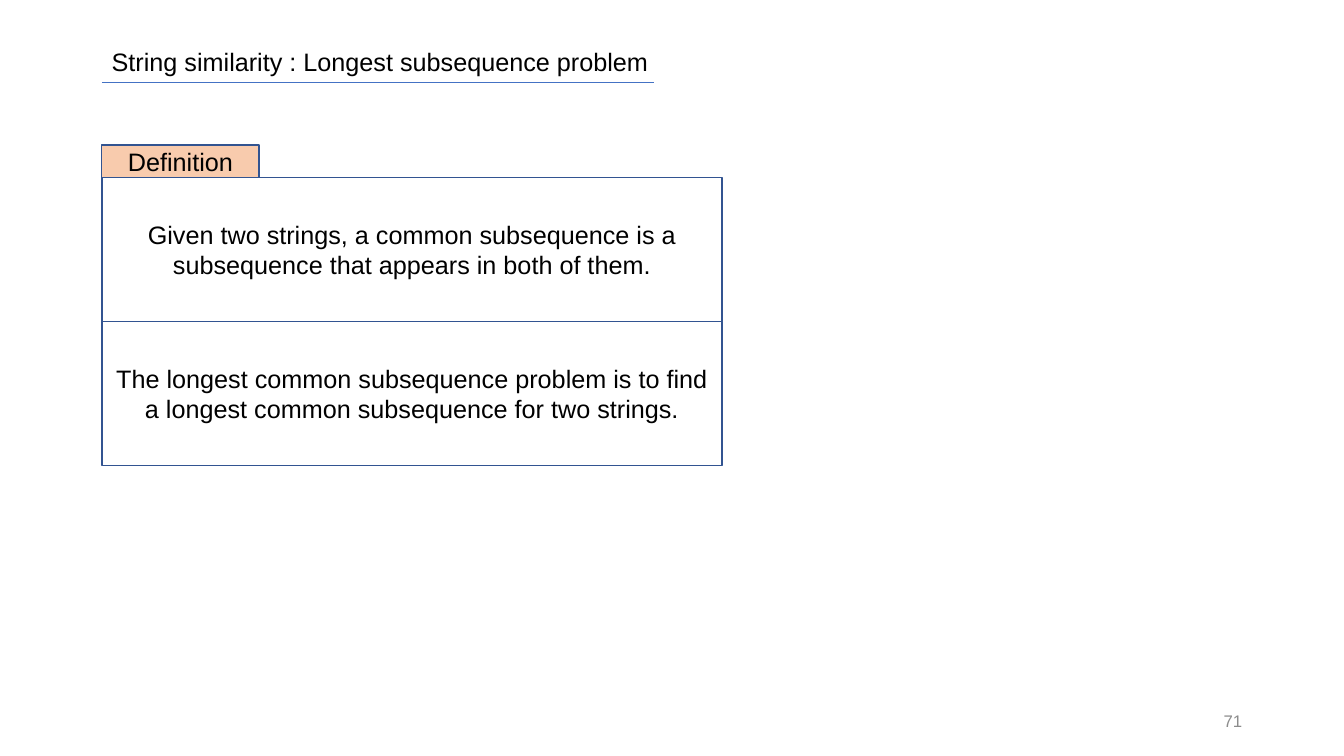
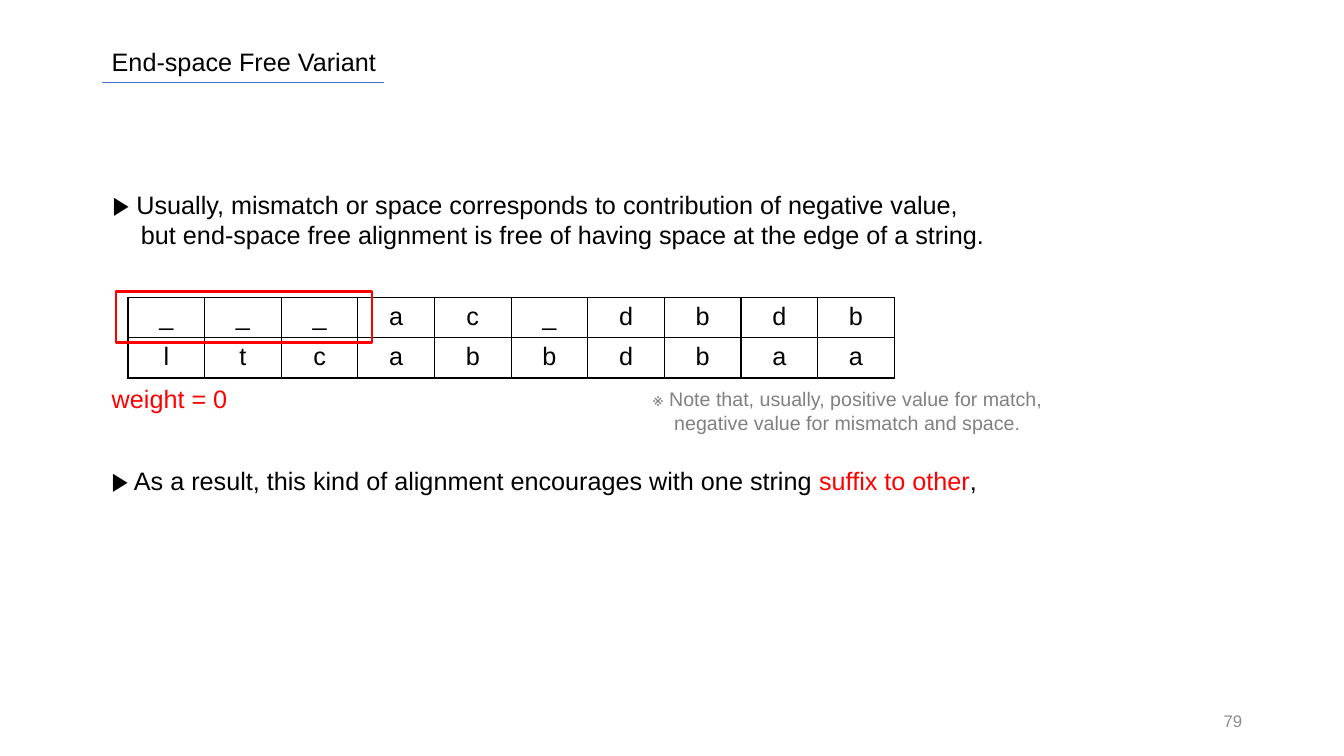
from lxml import etree
from pptx import Presentation
from pptx.dml.color import RGBColor
from pptx.enum.shapes import MSO_CONNECTOR, MSO_SHAPE
from pptx.enum.text import MSO_ANCHOR, PP_ALIGN
from pptx.oxml.ns import qn
from pptx.util import Emu, Pt

LEFT, CENTER, RIGHT = PP_ALIGN.LEFT, PP_ALIGN.CENTER, PP_ALIGN.RIGHT
TOP, MIDDLE = MSO_ANCHOR.TOP, MSO_ANCHOR.MIDDLE
RECTANGLE, STRAIGHT = MSO_SHAPE.RECTANGLE, MSO_CONNECTOR.STRAIGHT

# Shared style, lengths in px (100 px to the inch)
SCALE = 9144
SLIDE_SIZE = (1333, 750)
FONT = "Arial"
BODY, NOTE, SMALL = 18, 14, 12
BLACK, WHITE, RED, GREY = "000000", "FFFFFF", "FF0000", "808080"
PAGE_GREY, RULE_BLUE, BOX_BLUE, PEACH = "8C8C8C", "4472C4", "325491", "F8CBAD"
MARGIN_LEFT, TITLE_TOP, RULE_Y = 101, 41, 82

# Content of the definition slide
DEFINITION = {"title": "String similarity : Longest subsequence problem",
              "rule_end": 649, "page": "71"}
TAG = "Definition"
TAG_AREA = (101, 144, 156, 32)
STATEMENTS = [
    "Given two strings, a common subsequence is a subsequence that appears in both of them.",
    "The longest common subsequence problem is to find a longest common subsequence for two strings.",
]
STATEMENT_SIZE = (615, 143)

# Content of the alignment slide: a text is a list of paragraphs,
# a paragraph is a list of (words, colour)
VARIANT = {"title": "End-space Free Variant", "rule_end": 381, "page": "79"}
USUAL = [
    [("▶ Usually, mismatch or space corresponds to contribution of negative value,", BLACK)],
    [("but end-space free alignment is free of having space at the edge of a string.", BLACK)],
]
RESULT = [[("▶ As a result, this kind of alignment encourages with one string ", BLACK),
           ("suffix to other", RED), (",", BLACK)]]
WEIGHT = [[("weight = 0", RED)]]
REMARK = [[("※ Note that, usually, positive value for match,", GREY)],
          [("negative value for mismatch and space.", GREY)]]
ALIGNMENT = ["___ac_dbdb", "ltcabbdbaa"]
GRID_LEFT, GRID_TOP, CELL_WIDTH, CELL_HEIGHT = 127, 295, 76, 40
FREE_CELLS, FRAME_GAP = 3, (12, 6)
HANGING = 28


def px(length):
    return Emu(length * SCALE)


def color(value):
    return RGBColor.from_string(value)


def write(text_frame, paragraphs, size=BODY, align=LEFT, anchor=TOP):
    text_frame.word_wrap = True
    text_frame.vertical_anchor = anchor
    for index, runs in enumerate(paragraphs):
        paragraph = text_frame.add_paragraph() if index else text_frame.paragraphs[0]
        paragraph.alignment = align
        for words, tint in runs:
            run = paragraph.add_run()
            run.text = words
            run.font.name, run.font.size = FONT, Pt(size)
            run.font.color.rgb = color(tint)


def add_text(slide, area, paragraphs, **style):
    text_box = slide.shapes.add_textbox(*map(px, area))
    write(text_box.text_frame, paragraphs, **style)
    return text_box.text_frame


def add_box(slide, area, line, width, fill=None, text=None, opacity=None):
    shape = slide.shapes.add_shape(RECTANGLE, *map(px, area))
    shape.shadow.inherit = False
    shape.line.color.rgb, shape.line.width = color(line), Pt(width)
    if fill:
        shape.fill.solid()
        shape.fill.fore_color.rgb = color(fill)
    else:
        shape.fill.background()
    if opacity:
        tint = shape.fill._xPr.find(qn("a:solidFill"))[0]
        etree.SubElement(tint, qn("a:alpha"), val=str(opacity * 1000))
    if text:
        write(shape.text_frame, [[(text, BLACK)]], align=CENTER, anchor=MIDDLE)


def add_border(cell, width):
    properties = cell._tc.get_or_add_tcPr()
    for side in ("lnL", "lnR", "lnT", "lnB"):
        line = etree.SubElement(properties, qn("a:" + side), w=str(Pt(width)))
        fill = etree.SubElement(line, qn("a:solidFill"))
        etree.SubElement(fill, qn("a:srgbClr"), val=BLACK)


def add_grid(slide, rows):
    columns = len(rows[0])
    area = (GRID_LEFT, GRID_TOP, columns * CELL_WIDTH, len(rows) * CELL_HEIGHT)
    table = slide.shapes.add_table(len(rows), columns, *map(px, area)).table
    table.first_row = table.horz_banding = False
    for row_index, letters in enumerate(rows):
        for column_index, letter in enumerate(letters):
            cell = table.cell(row_index, column_index)
            add_border(cell, 1)
            cell.fill.solid()
            cell.fill.fore_color.rgb = color(WHITE)
            write(cell.text_frame, [[(letter, BLACK)]], align=CENTER)


def add_slide(presentation, title, rule_end, page):
    """Blank slide with page number, title and the rule under it."""
    slide = presentation.slides.add_slide(presentation.slide_layouts[6])
    add_text(slide, (942, 695, 300, 40), [[(page, PAGE_GREY)]],
             size=SMALL, align=RIGHT, anchor=MIDDLE)
    add_text(slide, (MARGIN_LEFT, TITLE_TOP, 734, 40), [[(title, BLACK)]])
    rule = slide.shapes.add_connector(
        STRAIGHT, *map(px, (MARGIN_LEFT, RULE_Y, rule_end, RULE_Y)))
    rule.line.color.rgb, rule.line.width = color(RULE_BLUE), Pt(0.5)
    etree.SubElement(rule._element.spPr, qn("a:effectLst"))
    return slide


def build_definition(presentation):
    slide = add_slide(presentation, **DEFINITION)
    add_box(slide, TAG_AREA, BOX_BLUE, 1, PEACH, TAG)
    left, top, _, tag_height = TAG_AREA
    width, height = STATEMENT_SIZE
    for index, statement in enumerate(STATEMENTS):
        area = (left, top + tag_height + index * height, width, height)
        add_box(slide, area, BOX_BLUE, 1, WHITE, statement, opacity=20)


def build_variant(presentation):
    slide = add_slide(presentation, **VARIANT)
    usual = add_text(slide, (102, 183, 907, 71), USUAL)
    usual.paragraphs[1]._p.get_or_add_pPr().set("marL", str(px(HANGING)))
    add_grid(slide, ALIGNMENT)

    # Frame around the free leading spaces
    gap_x, gap_y = FRAME_GAP
    add_box(slide, (GRID_LEFT - gap_x, GRID_TOP - gap_y,
                    FREE_CELLS * CELL_WIDTH + 2 * gap_x + 2,
                    CELL_HEIGHT + 2 * gap_y - 1), RED, 2)

    add_text(slide, (MARGIN_LEFT, 375, 168, 40), WEIGHT)
    add_text(slide, (MARGIN_LEFT, 457, 907, 40), RESULT)
    add_text(slide, (507, 379, 667, 57), REMARK, size=NOTE, align=CENTER)


def main():
    presentation = Presentation()
    presentation.slide_width, presentation.slide_height = map(px, SLIDE_SIZE)
    build_definition(presentation)
    build_variant(presentation)
    presentation.save("out.pptx")


if __name__ == "__main__":
    main()
